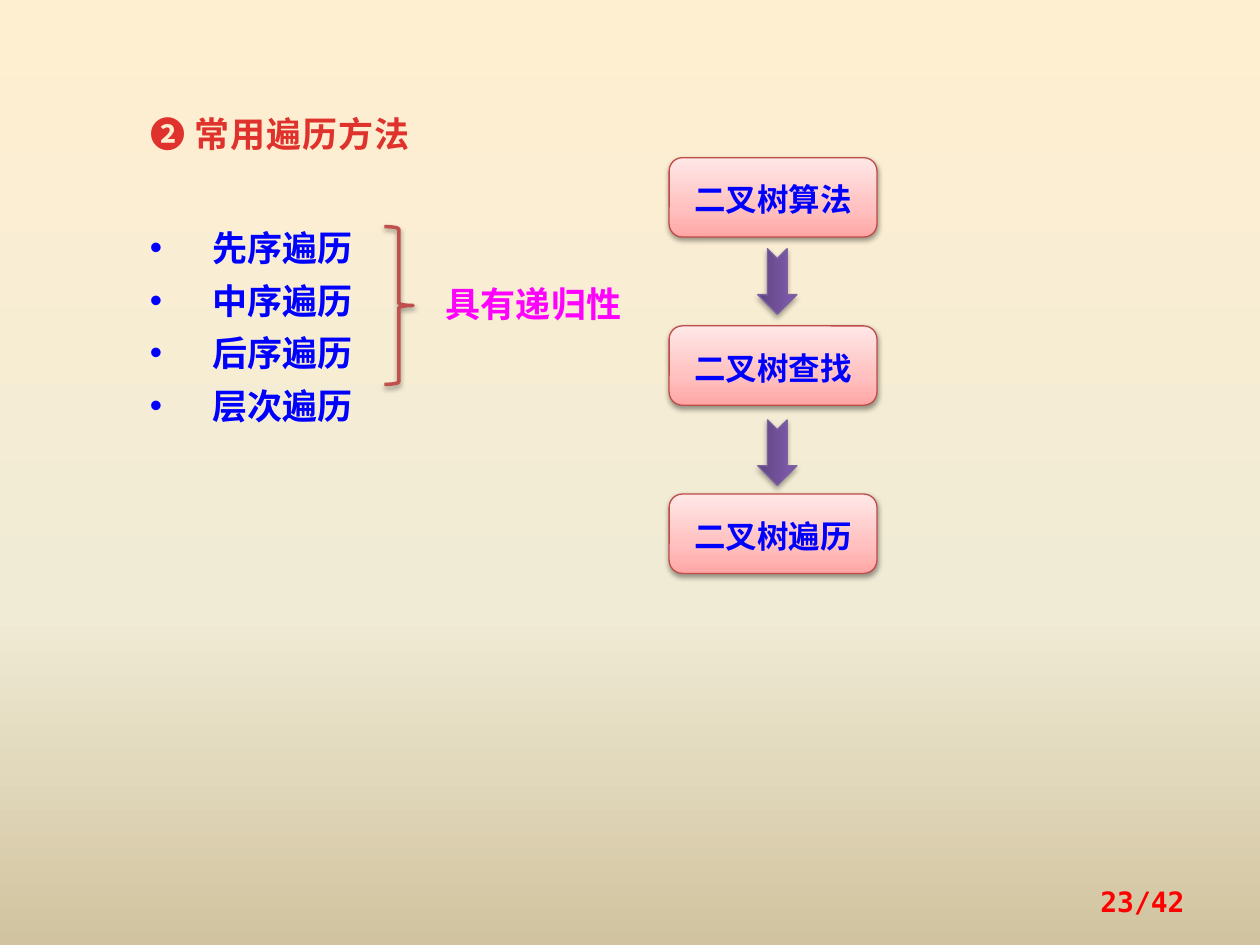
from lxml import etree
from pptx import Presentation
from pptx.dml.color import RGBColor
from pptx.enum.shapes import MSO_SHAPE as Shape
from pptx.enum.text import MSO_ANCHOR as Anchor, MSO_AUTO_SIZE as AutoSize, PP_ALIGN as Align
from pptx.oxml.ns import qn
from pptx.util import Cm, Pt

COLORS = {
    "blue": "0000FF", "magenta": "FF00FF", "red": "FF0000",
    "brace": "C0504D", "box_line": "BF4C48", "arrow_line": "7D60A0", "shadow": "000000",
}
GRADIENTS = {
    "page": [(0, "FFEFD1"), (65, "F0EBD5"), (100, "D1C39F")],
    "title": [(25, "E0322D"), (100, "A2201C")],
    "box": [(0, "FFA6A5"), (35, "FFC0BF"), (100, "FFE7E7")],
    "arrow": [(0, "5F4480"), (80, "7B58A6"), (100, "7C57A8")],
}
CJK_FONT = "Noto Sans CJK SC"


class SlideBuilder:
    def __init__(self, deck):
        self.slide = deck.slides.add_slide(deck.slide_layouts[5])
        self.gradient(self.slide.background.fill, self.slide.element, "page", 270)

    def gradient(self, fill, element, name, angle):
        fill.gradient()
        fill.gradient_angle = angle
        stops = element.find(".//" + qn("a:gsLst"))
        for stop in list(stops):
            stops.remove(stop)
        for position, color in GRADIENTS[name]:
            stop = etree.SubElement(stops, qn("a:gs"), pos=str(position * 1000))
            etree.SubElement(stop, qn("a:srgbClr"), val=color)

    def style(self, para, size, font=CJK_FONT, color=None, spacing=Pt(30), align=Align.LEFT):
        para.line_spacing = spacing
        para.alignment = align
        para.font.size = Pt(size)
        para.font.bold = True
        para.font.name = font
        if color:
            para.font.color.rgb = RGBColor.from_string(COLORS[color])
        latin = para._p.pPr.find(".//" + qn("a:latin"))
        latin.addnext(etree.Element(qn("a:ea"), typeface=CJK_FONT))

    def bullet(self, para):
        properties = para._p.get_or_add_pPr()
        properties.set("marL", str(Cm(1.27)))
        properties.set("indent", str(-Cm(1.27)))
        etree.SubElement(properties, qn("a:buFont"), typeface="Arial")
        etree.SubElement(properties, qn("a:buChar"), char="•")

    def title(self, text, left, top, width, height):
        title = self.slide.shapes.title
        title.left, title.top, title.width, title.height = map(Cm, (left, top, width, height))
        frame = title.text_frame
        frame.vertical_anchor = Anchor.TOP
        frame.auto_size = AutoSize.SHAPE_TO_FIT_TEXT
        para = frame.paragraphs[0]
        self.style(para, 20)
        span = para.add_run()
        span.text = text
        self.gradient(span.font.fill, span._r, "title", 270)
        span._r.rPr.set("spc", "50")

    def text(self, lines, left, top, width, height, size=20, bullets=False,
             anchor=Anchor.TOP, auto_size=AutoSize.SHAPE_TO_FIT_TEXT, **style):
        box = self.slide.shapes.add_textbox(*map(Cm, (left, top, width, height)))
        frame = box.text_frame
        frame.word_wrap = True
        frame.auto_size = auto_size
        frame.vertical_anchor = anchor
        frame.text = "\n".join(lines)
        for para in frame.paragraphs:
            if bullets:
                self.bullet(para)
            self.style(para, size, **style)

    def shape(self, kind, left, top, width, height, line, line_width=0.75, fill=None,
              shadow_alpha=38, shadow_distance=1.6):
        shape = self.slide.shapes.add_shape(kind, *map(Cm, (left, top, width, height)))
        if fill:
            self.gradient(shape.fill, shape.element, fill, 90)
        else:
            shape.fill.background()
        shape.line.color.rgb = RGBColor.from_string(COLORS[line])
        shape.line.width = Pt(line_width)
        shape.shadow.inherit = False
        effects = shape.element.spPr.find(qn("a:effectLst"))
        shadow = etree.SubElement(
            effects, qn("a:outerShdw"), blurRad=str(Pt(3.1)), dist=str(Pt(shadow_distance)),
            dir="5400000", rotWithShape="0")
        color = etree.SubElement(shadow, qn("a:srgbClr"), val=COLORS["shadow"])
        etree.SubElement(color, qn("a:alpha"), val=str(shadow_alpha * 1000))
        return shape

    def step(self, text, top):
        box = self.shape(Shape.ROUNDED_RECTANGLE, 13.49, top, 4.19, 1.6, "box_line", fill="box")
        frame = box.text_frame
        frame.vertical_anchor = Anchor.MIDDLE
        frame.text = text
        self.style(frame.paragraphs[0], 18, color="blue", spacing=1.1, align=Align.CENTER)

    def down_arrow(self, top):
        arrow = self.shape(Shape.NOTCHED_RIGHT_ARROW, 15.01, top, 1.32, 0.79, "arrow_line",
                           fill="arrow", shadow_alpha=35, shadow_distance=1.8)
        arrow.rotation = 90


def main():
    deck = Presentation()
    deck.slide_width, deck.slide_height = Cm(25.4), Cm(19.05)
    page = SlideBuilder(deck)
    page.title("❷ 常用遍历方法", 2.77, 1.93, 7.95, 1.22)
    page.text(["先序遍历", "中序遍历", "后序遍历", "层次遍历"], 2.77, 4.24, 5.94, 4.52,
              bullets=True, color="blue")
    page.shape(Shape.RIGHT_BRACE, 7.75, 4.57, 0.58, 3.18, "brace", line_width=2)
    page.text(["具有递归性"], 8.74, 5.36, 4.78, 1.32, font="Times New Roman", color="magenta")
    for index, name in enumerate(["二叉树算法", "二叉树查找", "二叉树遍历"]):
        page.step(name, 3.18 + 3.39 * index)
    for index in range(2):
        page.down_arrow(5.28 + 3.45 * index)
    page.text(["23/42"], 18.21, 17.65, 5.92, 1.02, size=16, anchor=Anchor.MIDDLE,
              auto_size=AutoSize.NONE, font="DejaVu Sans Mono", color="red",
              spacing=1.0, align=Align.RIGHT)
    deck.save("out.pptx")


if __name__ == "__main__":
    main()
